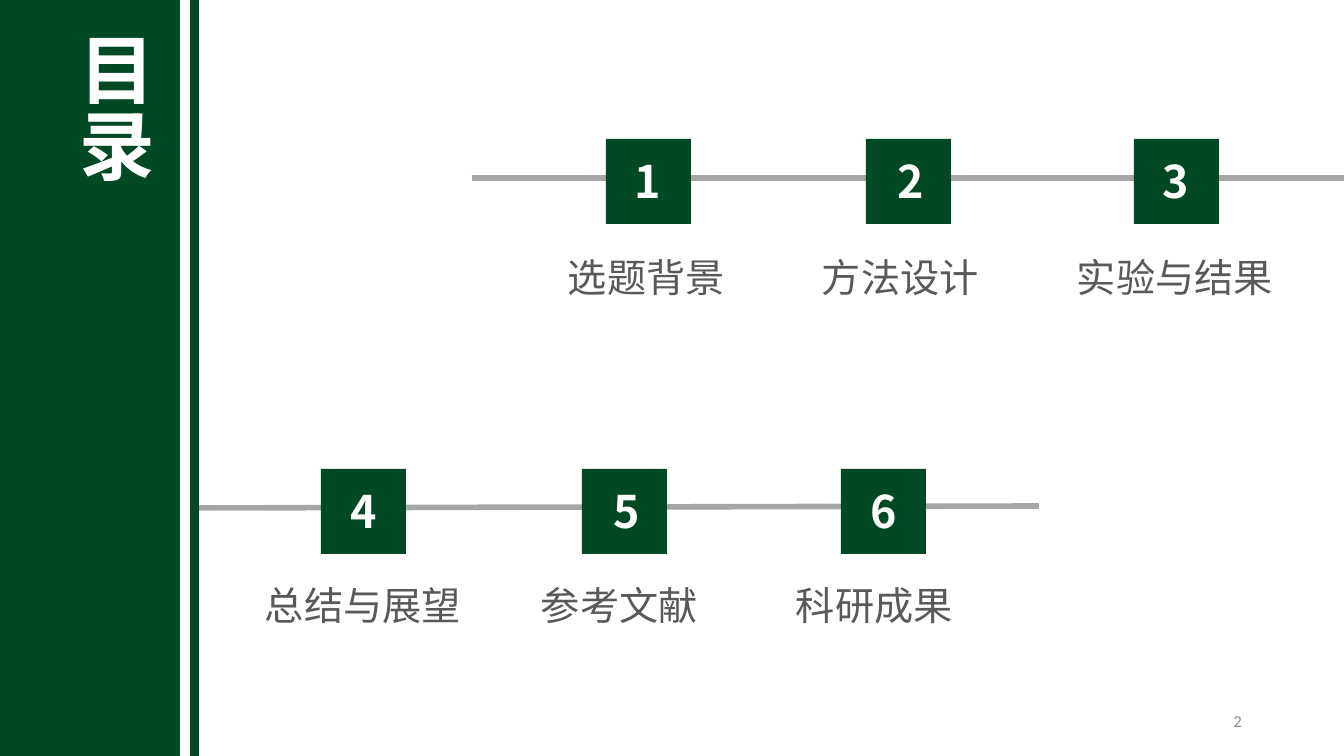
import pptx
import pptx.util
import pptx.dml.color
import pptx.enum.shapes
import pptx.enum.text
import pptx.oxml

# Content: (number, square left, number left, label, label left), lengths in px
ROWS = [
    {"line": (472, 178, 1344, 178), "top": 139, "label_top": 248,
     "number_height": 72,
     "steps": [("1", 606, 594, "选题背景", 558),
               ("2", 866, 857, "方法设计", 812),
               ("3", 1134, 1122, "实验与结果", 1067)]},
    {"line": (192, 508, 1039, 506), "top": 469, "label_top": 576,
     "number_height": 64,
     "steps": [("4", 321, 310, "总结与展望", 255),
               ("5", 582, 573, "参考文献", 531),
               ("6", 841, 830, "科研成果", 786)]},
]
BANDS = [(0, 0, 180, 756), (190, 0, 9, 756)]
TITLE, TITLE_BOX = "目录", (58, 27, 112, 194)
PAGE_NUMBER, PAGE_NUMBER_BOX = "2", (950, 701, 302, 40)

GREEN, GREY = "014924", "A6A6A6"
CJK = "Noto Sans CJK SC"
SQUARE, NUMBER_WIDTH, NUMBER_DROP = 85, 108, 10
GLYPH, LABEL_PADDING, LABEL_HEIGHT = 39, 22, 57

ALIGN = pptx.enum.text.PP_ALIGN
ANCHOR = pptx.enum.text.MSO_ANCHOR
NUMBER_STYLE = {"size": pptx.util.Pt(32), "name": CJK, "bold": True}
LABEL_STYLE = {"size": pptx.util.Pt(28), "name": CJK}
TITLE_STYLE = {"size": pptx.util.Pt(54), "name": CJK, "bold": True}
PAGE_STYLE = {"size": pptx.util.Pt(12), "name": "Calibri"}


def px(length):
    return pptx.util.Emu(round(length * 914400 / 100.8))


def colour(value):
    return pptx.dml.color.RGBColor.from_string(value)


def write(box, text, style, hex_colour, align, anchor=ANCHOR.TOP, wrap=True):
    frame = box.text_frame
    frame.word_wrap = wrap
    frame.auto_size = pptx.enum.text.MSO_AUTO_SIZE.NONE
    frame.vertical_anchor = anchor
    para = frame.paragraphs[0]
    para.alignment = align
    span = para.add_run()
    span.text = text
    for name, value in style.items():
        setattr(span.font, name, value)
    span.font.color.rgb = colour(hex_colour)
    # East Asian glyphs take their own typeface entry
    east_asian = pptx.oxml.parse_xml(
        '<a:ea xmlns:a="http://schemas.openxmlformats.org/drawingml/2006/main"'
        f' typeface="{style["name"]}"/>')
    span.font._element.append(east_asian)


def add_text(page, place, *args, **options):
    box = page.shapes.add_textbox(*map(px, place))
    write(box, *args, **options)


def add_block(page, place):
    block = page.shapes.add_shape(
        pptx.enum.shapes.MSO_SHAPE.RECTANGLE, *map(px, place))
    block.shadow.inherit = False
    block.fill.solid()
    block.fill.fore_color.rgb = colour(GREEN)
    block.line.fill.background()


def add_line(page, ends):
    line = page.shapes.add_connector(
        pptx.enum.shapes.MSO_CONNECTOR.STRAIGHT, *map(px, ends))
    line.line.color.rgb = colour(GREY)
    line.line.width = pptx.util.Pt(4)
    line._element.spPr.append(pptx.oxml.parse_xml(
        '<a:effectLst xmlns:a='
        '"http://schemas.openxmlformats.org/drawingml/2006/main"/>'))


def add_row(page, row):
    add_line(page, row["line"])
    for number, left, number_left, label, label_left in row["steps"]:
        add_block(page, (left, row["top"], SQUARE, SQUARE))
        add_text(page, (number_left, row["top"] + NUMBER_DROP,
                        NUMBER_WIDTH, row["number_height"]),
                 number, NUMBER_STYLE, "FFFFFF", ALIGN.CENTER)
        label_width = GLYPH * len(label) + LABEL_PADDING
        add_text(page, (label_left, row["label_top"],
                        label_width, LABEL_HEIGHT),
                 label, LABEL_STYLE, "595959", ALIGN.LEFT, wrap=False)


def add_title(page):
    title = page.shapes.title
    title.left, title.top, title.width, title.height = map(px, TITLE_BOX)
    write(title, TITLE, TITLE_STYLE, "FFFFFF", ALIGN.JUSTIFY)
    title.text_frame._txBody.bodyPr.set("vert", "eaVert")
    # Bring the title in front of the green band
    page.shapes._spTree.append(title._element)


def main():
    deck = pptx.Presentation()
    deck.slide_width, deck.slide_height = px(1344), px(756)
    page = deck.slides.add_slide(deck.slide_layouts.get_by_name("Title Only"))

    # Two timeline rows
    for row in ROWS:
        add_row(page, row)

    # Side band with the vertical title
    for place in BANDS:
        add_block(page, place)
    add_title(page)

    # Page number
    add_text(page, PAGE_NUMBER_BOX, PAGE_NUMBER, PAGE_STYLE, "8C8C8C",
             ALIGN.RIGHT, anchor=ANCHOR.MIDDLE)
    deck.save("out.pptx")


if __name__ == "__main__":
    main()
